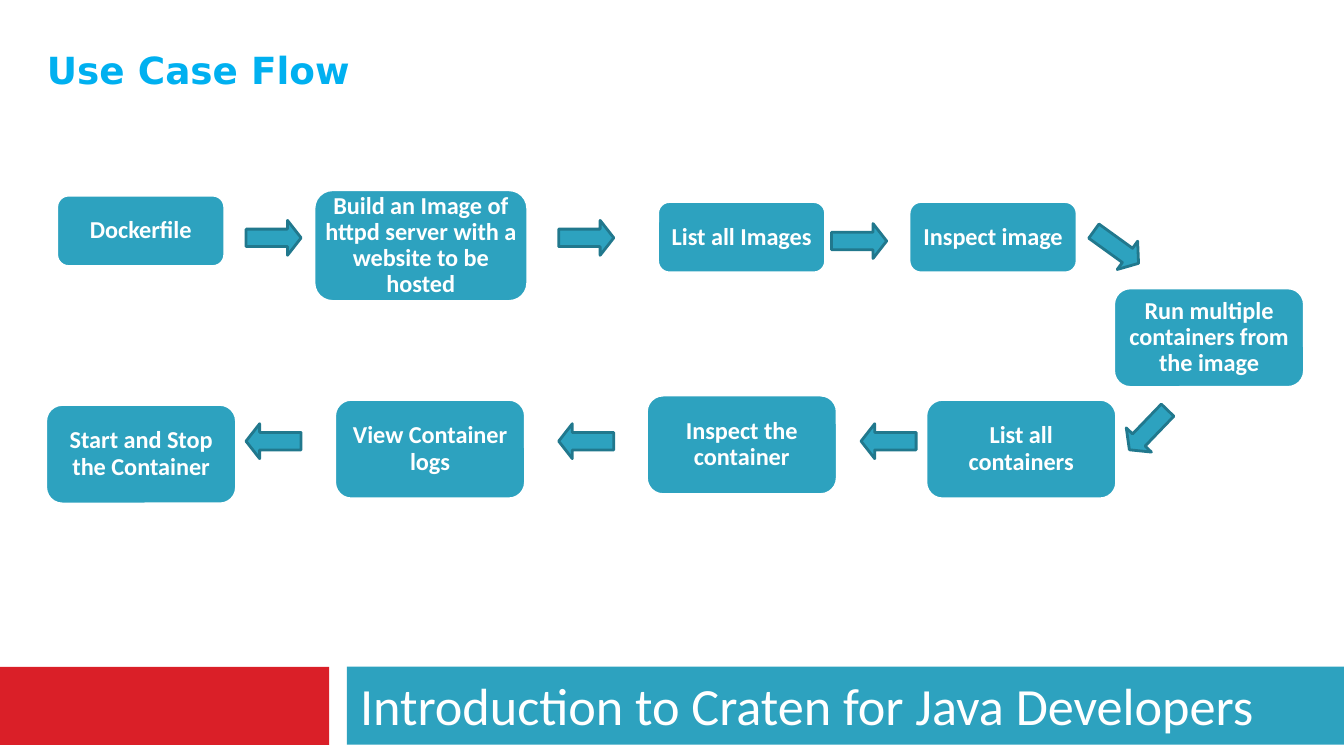
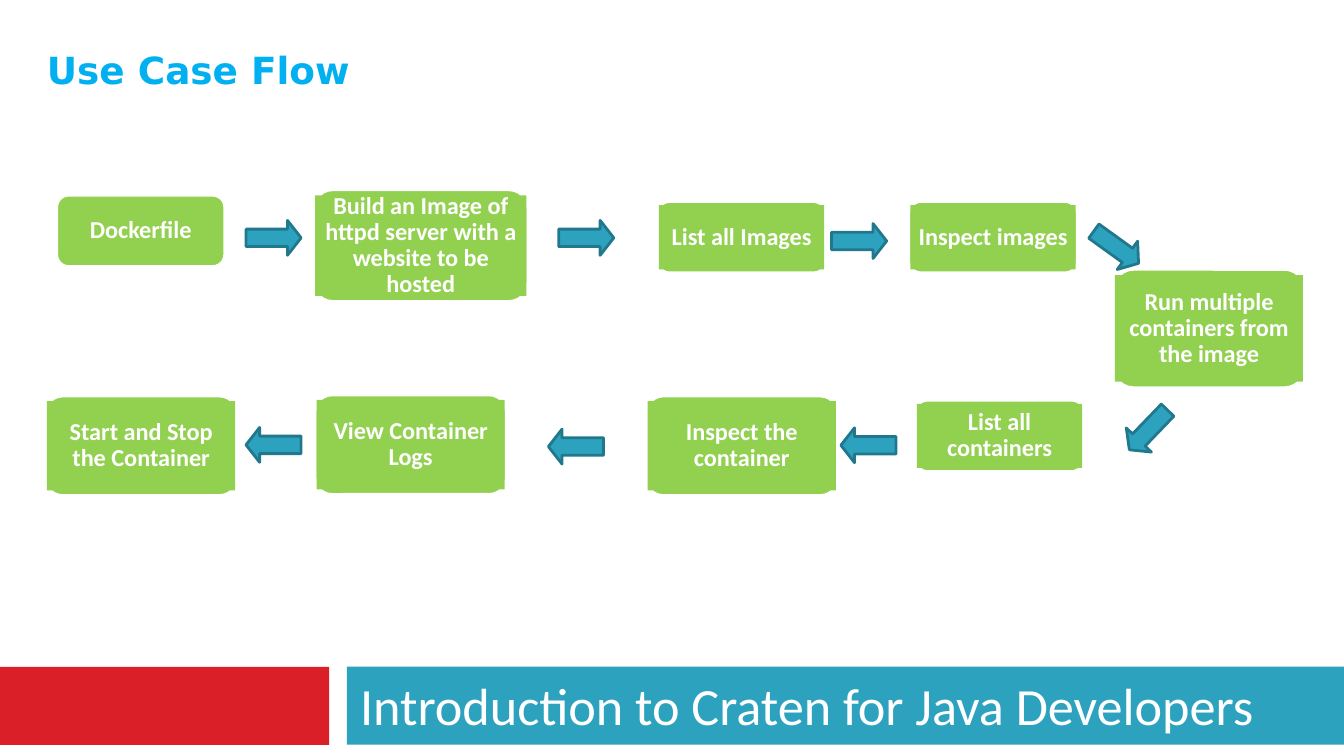
from pptx import Presentation
from pptx.dml.color import RGBColor
from pptx.enum import shapes, text
from pptx.util import Pt

TEAL = RGBColor(0x2D, 0xA2, 0xBF)
DARK_TEAL = RGBColor(0x21, 0x78, 0x8D)
GREEN = RGBColor(0x92, 0xD0, 0x50)
RED = RGBColor(0xDA, 0x1F, 0x28)
SKY = RGBColor(0x00, 0xB0, 0xF0)
WHITE = RGBColor(0xFF, 0xFF, 0xFF)

SMALL = (90, 38.2)
MEDIUM = (102.2, 53.3)
TALL = (102.2, 63.4)
LARGE = (114.5, 59.8)
ARROW = (29.5, 18.7)

# Steps: wording, left, top, size
FIRST_STEPS = [
    ("Dockerfile", 30.4, 104.6, SMALL),
    ("Build an Image of httpd server with a website to be hosted", 168.2, 101.7, LARGE),
    ("List all Images", 352.3, 108, SMALL),
]
TEAL_STEPS = FIRST_STEPS + [
    ("Inspect image", 487, 108, SMALL),
    ("Run multiple containers from the image", 596.6, 154.3, MEDIUM),
    ("List all containers", 496, 214, MEDIUM),
    ("Inspect the container", 346.3, 211.7, MEDIUM),
    ("View Container logs", 179.3, 214, MEDIUM),
    ("Start and Stop the Container", 24.5, 216.7, MEDIUM),
]
GREEN_STEPS = FIRST_STEPS + [
    ("Inspect images", 487, 108, SMALL),
    ("Run multiple containers from the image", 596.6, 144.3, TALL),
    ("List all containers", 490.5, 214.4, SMALL),
    ("Inspect the container", 346.3, 212.2, MEDIUM),
    ("View Container Logs", 168.9, 211.6, MEDIUM),
    ("Start and Stop the Container", 24.5, 212.2, MEDIUM),
]

# Arrows: left, top, rotation
OUTWARD_ARROWS = [
    (131.8, 118.1, 0),
    (299.3, 118.1, 0),
    (445.5, 119.8, 0),
    (583.2, 123.1, 35.8),
    (600.5, 221, 133.9),
]
TEAL_RETURN = [(461.3, 227, 180), (299.3, 227, 180), (131.8, 227, 180)]
GREEN_RETURN = [(450.5, 229.2, 180), (293.8, 229.9, 180), (131.8, 229, 180)]


def add_block(parent, kind, left, top, width, height, fill, outline=None):
    block = parent.add_shape(kind, Pt(left), Pt(top), Pt(width), Pt(height))
    block.shadow.inherit = False
    block.fill.solid()
    block.fill.fore_color.rgb = fill
    if outline is None:
        block.line.fill.background()
    else:
        block.line.color.rgb = outline
        block.line.width = Pt(1.5)
    return block


def add_words(parent, words, left, top, width, height, size, color,
              font="Calibri", bold=False, anchor=text.MSO_ANCHOR.MIDDLE):
    """Add a wrapping one-paragraph text box and return it."""
    box = parent.add_textbox(Pt(left), Pt(top), Pt(width), Pt(height))
    frame = box.text_frame
    frame.word_wrap = True
    frame.vertical_anchor = anchor
    run = frame.paragraphs[0].add_run()
    run.text = words
    run.font.name = font
    run.font.size = Pt(size)
    run.font.bold = bold
    run.font.color.rgb = color
    return box


def add_frame(slide):
    """Add the title and the footer bands that every slide carries."""
    rectangle = shapes.MSO_SHAPE.RECTANGLE
    add_block(slide.shapes, rectangle, -0.7, 357.3, 177.1, 41.8, RED)
    add_block(slide.shapes, rectangle, 185.8, 357.1, 534.2, 41.8, TEAL)
    add_words(slide.shapes, "Introduction to Craten for Java Developers",
              185.8, 357.1, 498.2, 40.3, 28, WHITE)
    add_words(slide.shapes, "Use Case Flow", 18, 21.6, 426.2, 31.7, 20, SKY,
              font="DejaVu Sans", bold=True, anchor=text.MSO_ANCHOR.TOP)


def add_step(slide, words, left, top, size, fill, filled_label):
    """Group a rounded box with its label, which sits just inside it."""
    width, height = size
    step = slide.shapes.add_group_shape().shapes
    add_block(step, shapes.MSO_SHAPE.ROUNDED_RECTANGLE,
              left, top, width, height, fill, WHITE)
    label = add_words(step, words, left + 0.7, top + 0.05 * height,
                      width - 1.4, 0.9 * height, 13, WHITE, bold=True)
    if filled_label:
        label.fill.solid()
        label.fill.fore_color.rgb = fill
    frame = label.text_frame
    frame.margin_left = frame.margin_right = Pt(4.2)
    frame.margin_top = frame.margin_bottom = Pt(3.6)
    frame.paragraphs[0].alignment = text.PP_ALIGN.CENTER
    frame.paragraphs[0].line_spacing = 0.9


def add_arrow(slide, left, top, rotation):
    arrow = add_block(slide.shapes, shapes.MSO_SHAPE.RIGHT_ARROW,
                      left, top, *ARROW, TEAL, DARK_TEAL)
    arrow.adjustments[1] = 0.39
    arrow.rotation = rotation


def add_flow_slide(deck, steps, arrows, fill, filled_labels):
    """Add one flow; filled labels start after the first step."""
    slide = deck.slides.add_slide(deck.slide_layouts[6])
    add_frame(slide)
    for number, step in enumerate(steps):
        add_step(slide, *step, fill, filled_labels and number > 0)
    for arrow in arrows:
        add_arrow(slide, *arrow)


def main():
    deck = Presentation()
    deck.slide_width, deck.slide_height = Pt(720), Pt(405)
    add_flow_slide(deck, TEAL_STEPS, OUTWARD_ARROWS + TEAL_RETURN, TEAL, False)
    add_flow_slide(deck, GREEN_STEPS, OUTWARD_ARROWS + GREEN_RETURN, GREEN, True)
    deck.save("out.pptx")


if __name__ == "__main__":
    main()
